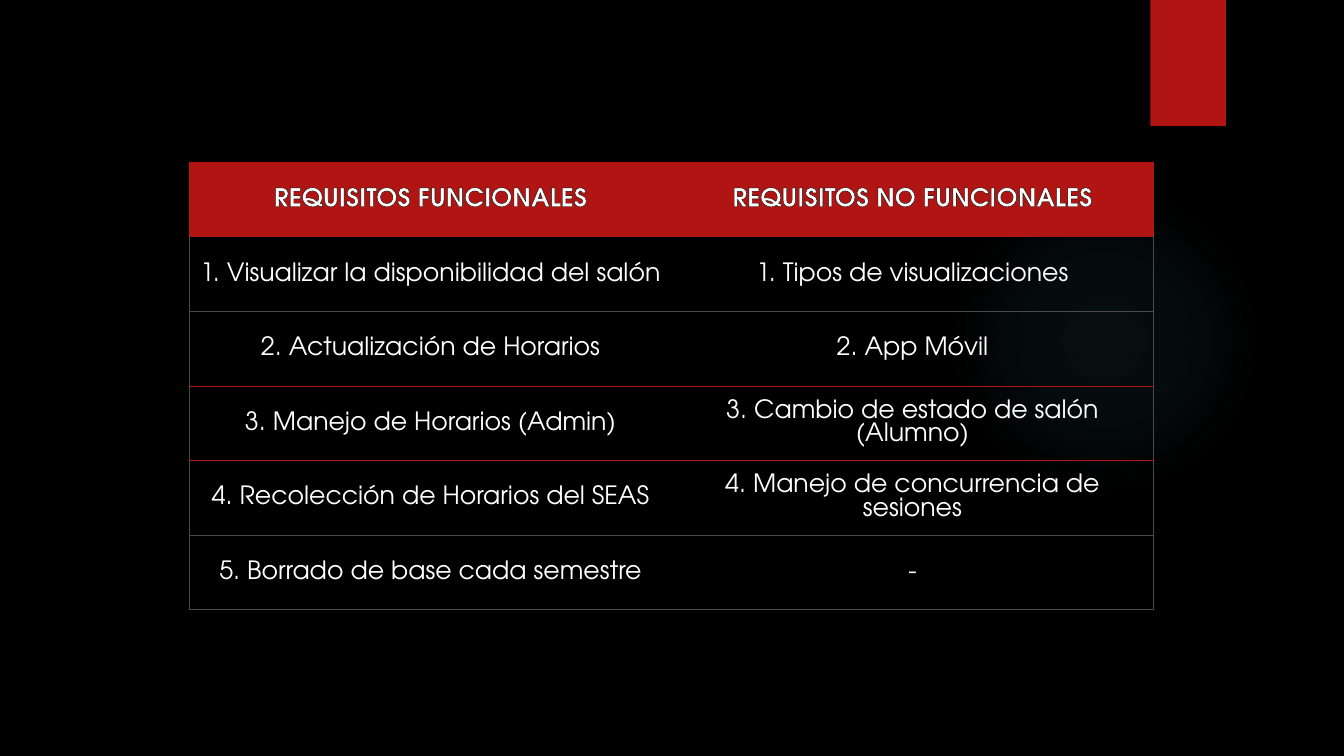
import pptx
import pptx.util
import pptx.dml.color
import pptx.enum.shapes
import pptx.enum.text
import pptx.oxml

COLORS = {
    "background": "000000",
    "accent": "B01513",
    "rule": "4A4A4A",
    "text": "FFFFFF",
    "outline": "000000",
    "glow": "50B9C1",
}
FONT = "TeX Gyre Adventor"
NAMESPACE = 'xmlns:a="http://schemas.openxmlformats.org/drawingml/2006/main"'
NO_TABLE_STYLE = "{2D5ABB26-0587-4C30-8999-92F81FD0307C}"

REQUIREMENTS = [
    ("REQUISITOS FUNCIONALES", "REQUISITOS NO FUNCIONALES"),
    ("1. Visualizar la disponibilidad del salón", "1. Tipos de visualizaciones"),
    ("2. Actualización de Horarios", "2. App Móvil"),
    ("3. Manejo de Horarios (Admin)", "3. Cambio de estado de salón (Alumno)"),
    ("4. Recolección de Horarios del SEAS", "4. Manejo de concurrencia de sesiones"),
    ("5. Borrado de base cada semestre", "-"),
]
HIGHLIGHTED_ROW = 3
GLOW_STOPS = [(0, 7), (36, 6), (69, 0), (100, 0)]

TABLE_LEFT, TABLE_TOP = 1.88, 1.61
COLUMN_WIDTH, ROW_HEIGHT = 4.78, 0.74


def rgb(name):
    return pptx.dml.color.RGBColor.from_string(COLORS[name])


def line_xml(tag, color, width=0.75):
    return pptx.oxml.parse_xml(
        f'<a:{tag} {NAMESPACE} w="{pptx.util.Pt(width)}"><a:solidFill>'
        f'<a:srgbClr val="{COLORS[color]}"/></a:solidFill></a:{tag}>'
    )


def write_text(frame, text, size=18, color="text", bold=False, outline=None):
    paragraph = frame.paragraphs[0]
    paragraph.alignment = pptx.enum.text.PP_ALIGN.CENTER
    run = paragraph.add_run()
    run.text = text
    run.font.name = FONT
    run.font.size = pptx.util.Pt(size)
    run.font.bold = bold
    run.font.color.rgb = rgb(color)
    if outline:
        run.font._element.insert(0, line_xml("ln", outline))


def add_plain_shape(slide, kind, left, top, width, height):
    lengths = [pptx.util.Inches(length) for length in (left, top, width, height)]
    shape = slide.shapes.add_shape(kind, *lengths)
    shape.shadow.inherit = False
    shape.line.fill.background()
    return shape


def add_glow(slide):
    glow = add_plain_shape(
        slide, pptx.enum.shapes.MSO_SHAPE.OVAL, 9.41, 1.83, 3.08, 3.08
    )
    glow.fill.background()
    stops = "".join(
        f'<a:gs pos="{position * 1000}"><a:srgbClr val="{COLORS["glow"]}">'
        f'<a:alpha val="{alpha * 1000}"/></a:srgbClr></a:gs>'
        for position, alpha in GLOW_STOPS
    )
    gradient = pptx.oxml.parse_xml(
        f'<a:gradFill {NAMESPACE}><a:gsLst>{stops}</a:gsLst><a:path path="circle">'
        '<a:fillToRect l="50000" t="50000" r="50000" b="50000"/></a:path></a:gradFill>'
    )
    properties = glow._element.spPr
    properties.replace(properties.find(pptx.oxml.ns.qn("a:noFill")), gradient)


def set_borders(cell, row, column):
    def rule_color(boundary):
        header = boundary in (0, 1)
        highlighted = boundary in (HIGHLIGHTED_ROW, HIGHLIGHTED_ROW + 1)
        return "accent" if header or highlighted else "rule"

    side = "lnL" if column == 0 else "lnR"
    borders = [
        (side, "accent" if row == 0 else "rule"),
        ("lnT", rule_color(row)),
        ("lnB", rule_color(row + 1)),
    ]
    properties = cell._tc.get_or_add_tcPr()
    for index, (tag, color) in enumerate(borders):
        properties.insert(index, line_xml(tag, color))


def add_requirements_table(slide):
    row_count, column_count = len(REQUIREMENTS), len(REQUIREMENTS[0])
    frame = slide.shapes.add_table(
        row_count, column_count,
        pptx.util.Inches(TABLE_LEFT), pptx.util.Inches(TABLE_TOP),
        pptx.util.Inches(COLUMN_WIDTH * column_count),
        pptx.util.Inches(ROW_HEIGHT * row_count),
    )
    table = frame.table
    table.horz_banding = False
    table._tbl.tblPr.find(pptx.oxml.ns.qn("a:tableStyleId")).text = NO_TABLE_STYLE
    for row, texts in enumerate(REQUIREMENTS):
        for column, text in enumerate(texts):
            cell = table.cell(row, column)
            cell.vertical_anchor = pptx.enum.text.MSO_ANCHOR.MIDDLE
            if row == 0:
                cell.fill.solid()
                cell.fill.fore_color.rgb = rgb("accent")
                write_text(cell.text_frame, text, bold=True, outline="outline")
            else:
                cell.fill.background()
                write_text(cell.text_frame, text)
            set_borders(cell, row, column)


def main():
    presentation = pptx.Presentation()
    presentation.slide_width = pptx.util.Inches(13.33)
    presentation.slide_height = pptx.util.Inches(7.5)
    slide = presentation.slides.add_slide(presentation.slide_layouts[6])
    slide.background.fill.solid()
    slide.background.fill.fore_color.rgb = rgb("background")

    add_glow(slide)
    ribbon = add_plain_shape(
        slide, pptx.enum.shapes.MSO_SHAPE.RECTANGLE, 11.41, 0, 0.75, 1.25
    )
    ribbon.fill.solid()
    ribbon.fill.fore_color.rgb = rgb("accent")
    add_requirements_table(slide)
    presentation.save("out.pptx")


if __name__ == "__main__":
    main()
